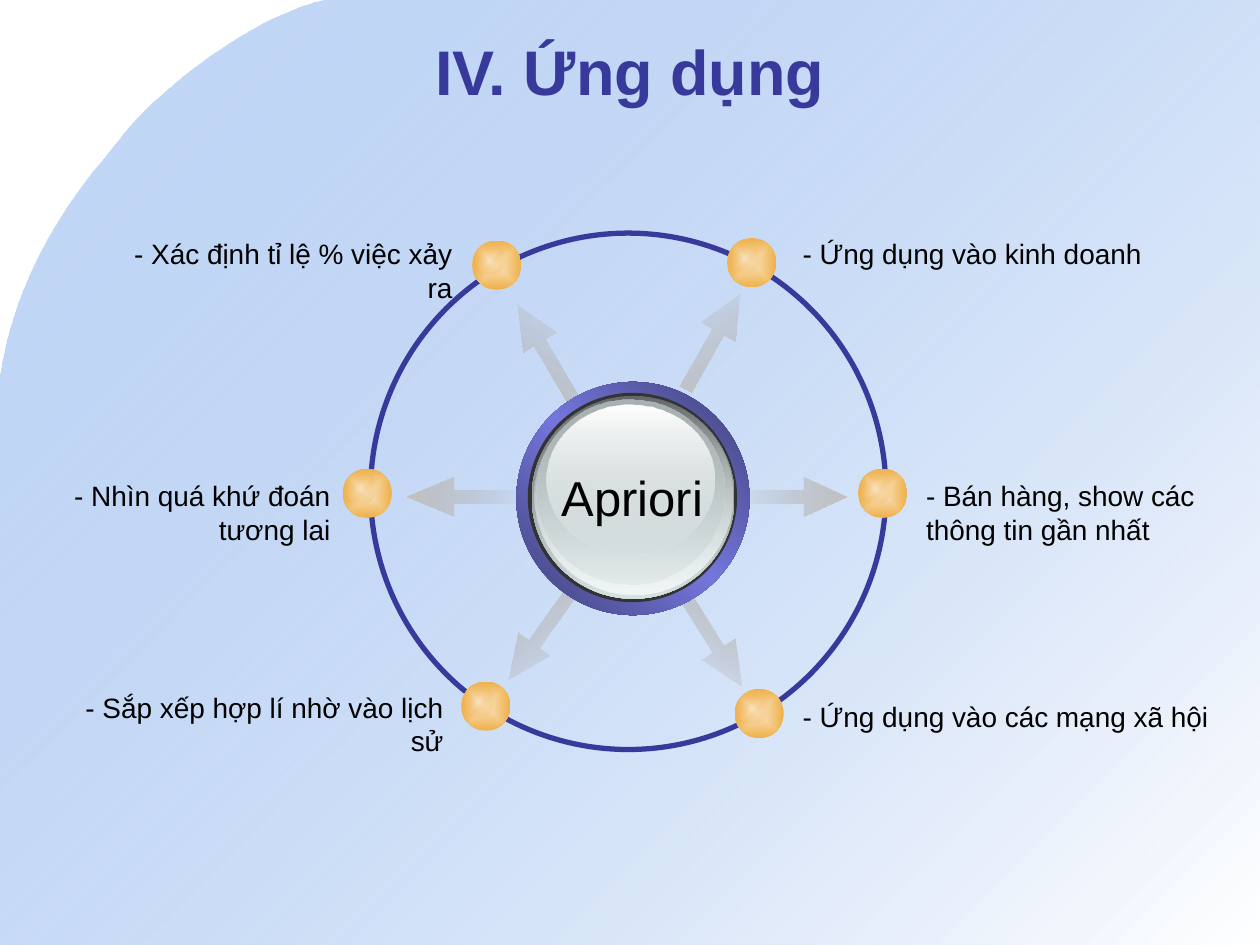
import lxml.etree
import pptx
import pptx.dml.color
import pptx.enum.shapes
import pptx.enum.text
import pptx.oxml.ns
import pptx.util

Cm = pptx.util.Cm
SHAPE = pptx.enum.shapes.MSO_SHAPE
ALIGN = pptx.enum.text.PP_ALIGN
ANCHOR = pptx.enum.text.MSO_ANCHOR
qn = pptx.oxml.ns.qn

COLORS = {
    "sky": "699DE9", "white": "FFFFFF", "indigo": "37399B", "black": "000000",
    "arrow_tail": "ABABAB", "arrow_tip": "C0C0C0",
    "cream": "FAE4C2", "orange": "EFB049",
    "rim_dark": "3F4077", "rim_light": "7476DC", "charcoal": "333333",
    "steel": "636869", "silver": "D6E1E2", "pearl": "F1F5F5", "ash": "AAB2B3",
}


def write_text(frame, text, size=16, color="black", bold=False, align=ALIGN.LEFT,
               anchor=ANCHOR.TOP, wrap=True):
    frame.word_wrap = wrap
    frame.vertical_anchor = anchor
    paragraph = frame.paragraphs[0]
    paragraph.alignment = align
    run = paragraph.add_run()
    run.text = text
    run.font.name = "Arial"
    run.font.size = pptx.util.Pt(size)
    run.font.bold = bold
    run.font.color.rgb = pptx.dml.color.RGBColor.from_string(COLORS[color])


def bezier(start, first, second, end, steps=24):
    for step in range(1, steps + 1):
        t = step / steps
        weights = ((1 - t) ** 3, 3 * t * (1 - t) ** 2, 3 * t * t * (1 - t), t ** 3)
        yield tuple(sum(w * point[axis] for w, point in zip(weights, (start, first, second, end)))
                    for axis in (0, 1))


class Painter:
    """Draws styled elements on the current slide."""

    def __init__(self, slide):
        self.slide = slide

    def gradient(self, shape, stops, angle=None):
        shape.fill.gradient()
        grad = shape.element.spPr.find(qn("a:gradFill"))
        for child in list(grad):
            grad.remove(child)
        grad.set("rotWithShape", "0")
        stop_list = lxml.etree.SubElement(grad, qn("a:gsLst"))
        for position, color, opacity in stops:
            stop = lxml.etree.SubElement(stop_list, qn("a:gs"), pos=str(position * 1000))
            tone = lxml.etree.SubElement(stop, qn("a:srgbClr"), val=COLORS[color])
            if opacity < 100:
                lxml.etree.SubElement(tone, qn("a:alpha"), val=str(opacity * 1000))
        if angle is None:
            route = lxml.etree.SubElement(grad, qn("a:path"))
            route.set("path", "rect")
            lxml.etree.SubElement(route, qn("a:fillToRect"),
                                  dict.fromkeys("ltrb", "50000"))
        else:
            lxml.etree.SubElement(grad, qn("a:lin"), ang=str(round(angle * 60000)), scaled="0")

    def plain(self, shape):
        shape.shadow.inherit = False
        shape.line.fill.background()
        return shape

    def backdrop(self, outline, stops, angle):
        points = [(Cm(x), Cm(y)) for x, y in outline]
        builder = self.slide.shapes.build_freeform(*points[0], scale=1.0)
        builder.add_line_segments(points[1:], close=True)
        self.gradient(self.plain(builder.convert_to_shape()), stops, angle)

    def ellipse(self, left, top, width, height, stops=None, angle=None, parent=None):
        shapes = (parent or self.slide).shapes
        oval = self.plain(shapes.add_shape(SHAPE.OVAL, Cm(left), Cm(top), Cm(width), Cm(height)))
        if stops:
            self.gradient(oval, stops, angle)
        else:
            oval.fill.background()
        return oval

    def ring(self, left, top, width, height, color, weight):
        ring = self.ellipse(left, top, width, height)
        ring.line.color.rgb = pptx.dml.color.RGBColor.from_string(COLORS[color])
        ring.line.width = pptx.util.Pt(weight)

    def arrow(self, left, top, rotation, length=2.21, head=1.11):
        arrow = self.plain(self.slide.shapes.add_shape(
            SHAPE.RIGHT_ARROW, Cm(left), Cm(top), Cm(length), Cm(0.81)))
        arrow.adjustments[0] = 0.35
        arrow.adjustments[1] = head
        arrow.rotation = rotation
        self.gradient(arrow, [(0, "arrow_tail", 0), (100, "arrow_tip", 100)], -rotation % 360)

    def node(self, left, top):
        node = self.slide.shapes.add_group_shape()
        self.ellipse(left, top, 0.99, 0.99,
                     [(0, "cream", 100), (100, "orange", 100)], parent=node)
        self.ellipse(left + 0.04, top + 0.09, 0.61, 0.63,
                     [(0, "cream", 100), (100, "orange", 0)], parent=node)

    def text(self, text, left, top, width, height, **style):
        box = self.slide.shapes.add_textbox(Cm(left), Cm(top), Cm(width), Cm(height))
        write_text(box.text_frame, text, **style)


def main():
    deck = pptx.Presentation()
    deck.slide_width, deck.slide_height = Cm(25.4), Cm(19.05)
    painter = Painter(deck.slides.add_slide(deck.slide_layouts[6]))

    crest, shoulder, edge = (6.55, 0), (2.49, 2.72), (0, 7.65)
    outline = [crest,
               *bezier(crest, (4.83, 0.41), (2.95, 2.11), shoulder),
               *bezier(shoulder, (2.03, 3.35), (0.41, 4.93), edge),
               (0, 19.05), (25.4, 19.05), (25.4, 0)]
    painter.backdrop(outline, [(0, "sky", 39), (100, "white", 100)], 45)
    painter.text("IV. Ứng dụng", 1.27, 0.64, 22.86, 1.57, size=36, color="indigo",
                 bold=True, align=ALIGN.CENTER, anchor=ANCHOR.MIDDLE)

    for left, top, rotation in [(13.26, 6.48, 299.6), (13.26, 12.5, 57.8), (9.88, 6.68, 239.5),
                                (9.78, 12.4, 125.6), (14.88, 9.6, 0)]:
        painter.arrow(left, top, rotation)
    painter.arrow(8.18, 9.6, 180, length=2.39, head=1.21)

    painter.ring(7.47, 4.7, 10.39, 10.41, "indigo", 3)
    for left, top in [(9.52, 4.85), (6.91, 9.45), (9.3, 13.74),
                      (14.66, 4.8), (17.3, 9.45), (14.81, 13.89)]:
        painter.node(left, top)

    painter.ellipse(10.41, 7.7, 4.7, 4.7, [(0, "rim_dark", 100), (50, "rim_light", 100),
                                           (100, "rim_dark", 100)], 315)
    button = painter.slide.shapes.add_group_shape()
    base = painter.ellipse(10.64, 7.92, 4.22, 4.22, parent=button)
    base.fill.solid()
    base.fill.fore_color.rgb = pptx.dml.color.RGBColor.from_string(COLORS["charcoal"])
    for left, top, width, height, upper, lower in [
        (10.72, 7.98, 4.09, 4.09, ("steel", 100), ("silver", 100)),
        (10.77, 8.0, 3.99, 3.99, ("silver", 0), ("pearl", 100)),
        (10.82, 8.05, 3.78, 3.73, ("ash", 100), ("silver", 48)),
        (11.02, 8.15, 3.38, 3.02, ("white", 100), ("silver", 38)),
    ]:
        painter.ellipse(left, top, width, height, [(0, *upper), (100, *lower)], 90, button)
    painter.text("Apriori", 11.07, 9.3, 3.35, 1.45, size=28, align=ALIGN.CENTER, wrap=False)

    for label, left, top, width, height, align in [
        ("- Ứng dụng vào kinh doanh", 15.93, 4.65, 7.34, 0.94, ALIGN.LEFT),
        ("- Xác định tỉ lệ % việc xảy ra", 1.8, 4.65, 7.57, 0.94, ALIGN.RIGHT),
        ("- Bán hàng, show các thông tin gần nhất", 18.42, 9.53, 6.3, 1.63, ALIGN.LEFT),
        ("- Ứng dụng vào các mạng xã hội", 15.93, 13.97, 8.69, 0.94, ALIGN.LEFT),
        ("- Nhìn quá khứ đoán tương lai", 0, 9.53, 6.91, 1.63, ALIGN.RIGHT),
        ("- Sắp xếp hợp lí nhờ vào lịch sử", 0.66, 13.79, 8.53, 0.94, ALIGN.RIGHT),
    ]:
        painter.text(label, left, top, width, height, align=align, wrap=height > 1)

    deck.save("out.pptx")


if __name__ == "__main__":
    main()
